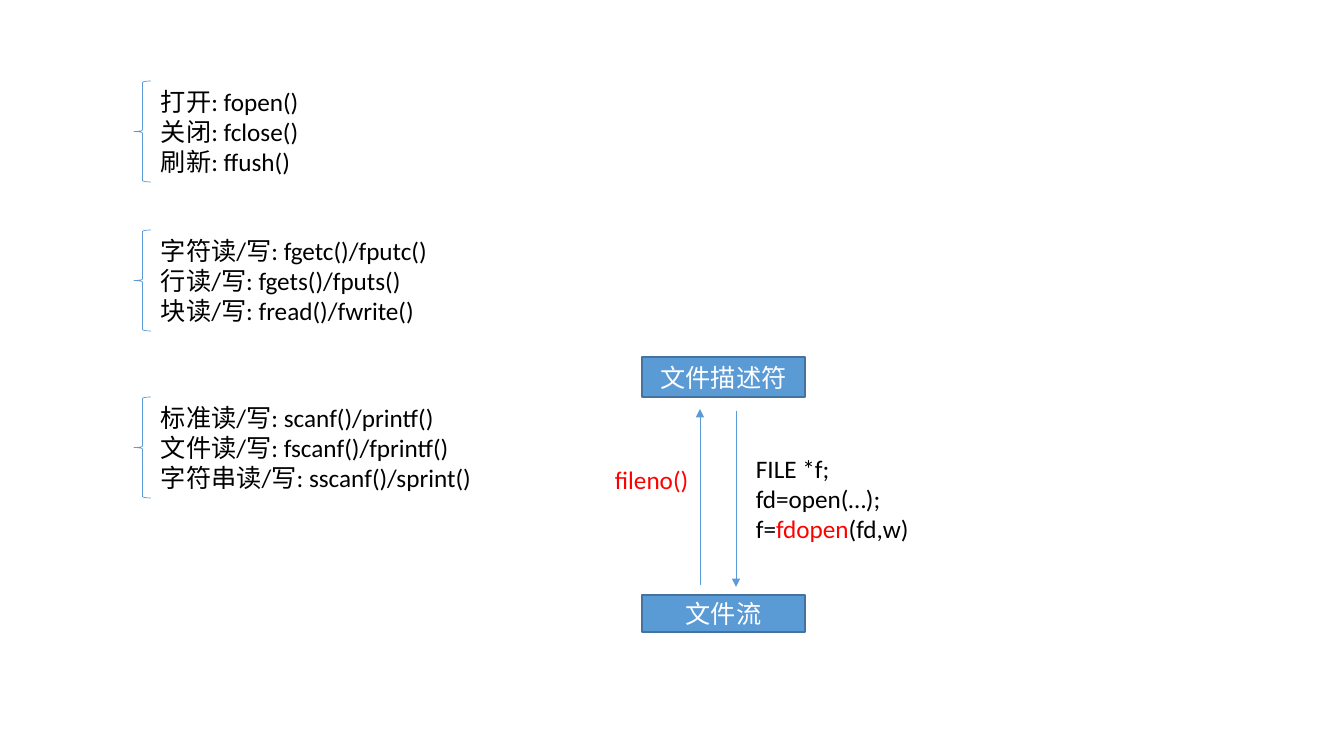
from lxml import etree
from pptx import Presentation
from pptx.dml.color import RGBColor
from pptx.enum.shapes import MSO_CONNECTOR, MSO_SHAPE
from pptx.enum.text import MSO_ANCHOR, PP_ALIGN
from pptx.oxml.ns import qn
from pptx.util import Pt

BRACE = MSO_SHAPE.LEFT_BRACE
RECT = MSO_SHAPE.RECTANGLE
LINE = MSO_CONNECTOR.STRAIGHT
MIDDLE = MSO_ANCHOR.MIDDLE
CENTER = PP_ALIGN.CENTER
SCALE = 914400 / 100.8
BLUE, EDGE = "5B9BD5", "43739E"
BLACK, WHITE, RED = "000000", "FFFFFF", "FF0000"


def px(*vals):
    return [round(val * SCALE) for val in vals]


def write(frame, lines):
    frame.word_wrap = True
    for num, runs in enumerate(lines):
        para = frame.add_paragraph() if num else frame.paragraphs[0]
        for text, color in runs:
            run = para.add_run()
            run.text = text
            run.font.size = Pt(18)
            run.font.name = "Calibri"
            run.font.color.rgb = RGBColor.from_string(color)


deck = Presentation()
deck.slide_width, deck.slide_height = px(1344, 756)
slide = deck.slides.add_slide(deck.slide_layouts[6])
shapes = slide.shapes

groups = [
    (81, 160, ["打开: fopen()", "关闭: fclose()", "刷新: ffush()"]),
    (230, 289, ["字符读/写: fgetc()/fputc()", "行读/写: fgets()/fputs()",
                "块读/写: fread()/fwrite()"]),
    (397, 334, ["标准读/写: scanf()/printf()", "文件读/写: fscanf()/fprintf()",
                "字符串读/写: sscanf()/sprint()"]),
]
for top, width, calls in groups:
    brace = shapes.add_shape(BRACE, *px(134, top, 17, 101))
    brace.shadow.inherit = False
    brace.fill.background()
    brace.line.color.rgb = RGBColor.from_string(BLUE)
    brace.line.width = Pt(0.5)
    box = shapes.add_textbox(*px(151, top, width, 102))
    write(box.text_frame, [[(call, BLACK)] for call in calls])

for top, height, name in [(357, 40, "文件描述符"), (595, 37, "文件流")]:
    node = shapes.add_shape(RECT, *px(642, top, 163, height))
    node.shadow.inherit = False
    node.fill.solid()
    node.fill.fore_color.rgb = RGBColor.from_string(BLUE)
    node.line.color.rgb = RGBColor.from_string(EDGE)
    node.line.width = Pt(1)
    node.text_frame.vertical_anchor = MIDDLE
    write(node.text_frame, [[(name, WHITE)]])
    node.text_frame.paragraphs[0].alignment = CENTER

for left, start, end in [(700, 585, 409), (736, 411, 587)]:
    arrow = shapes.add_connector(LINE, *px(left, start, left, end))
    arrow.line.color.rgb = RGBColor.from_string(BLUE)
    arrow.line.width = Pt(0.5)
    tip = etree.SubElement(arrow.line._get_or_add_ln(), qn("a:tailEnd"))
    tip.set("type", "triangle")
    etree.SubElement(arrow._element.spPr, qn("a:effectLst"))

notes = [
    (605, 459, 96, 40, [[("fileno()", RED)]]),
    (746, 448, 176, 102, [
        [("FILE *f;", BLACK)],
        [("fd=open(…);", BLACK)],
        [("f=", BLACK), ("fdopen", RED), ("(fd,w)", BLACK)],
    ]),
]
for left, top, width, height, lines in notes:
    box = shapes.add_textbox(*px(left, top, width, height))
    write(box.text_frame, lines)

deck.save("out.pptx")
